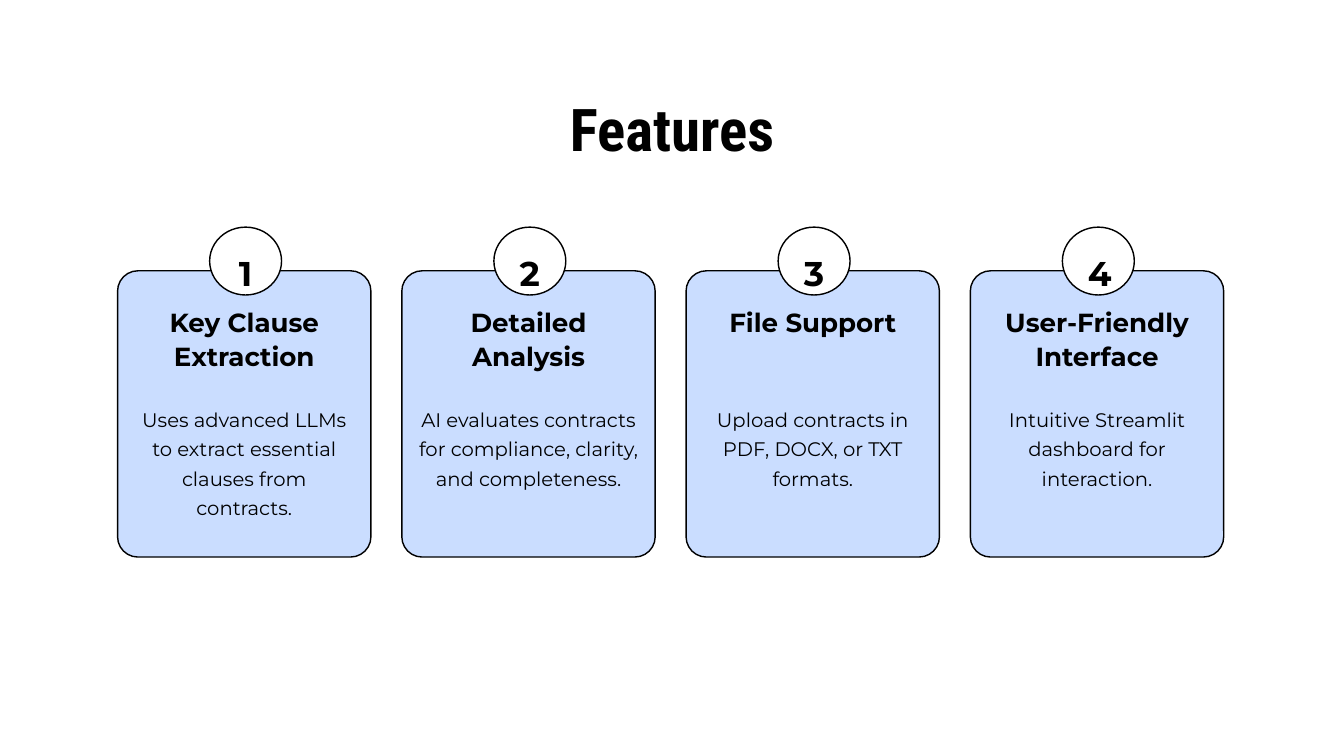
from pptx import Presentation
from pptx.dml.color import RGBColor
from pptx.enum.shapes import MSO_SHAPE
from pptx.enum.text import MSO_ANCHOR, MSO_AUTO_SIZE, PP_ALIGN
from pptx.util import Emu, Pt

ROUNDED, OVAL = MSO_SHAPE.ROUNDED_RECTANGLE, MSO_SHAPE.OVAL
TOP, CENTER, NO_FIT = MSO_ANCHOR.TOP, PP_ALIGN.CENTER, MSO_AUTO_SIZE.NONE
PX = 9144  # EMU per px, 100 px to the inch
BLACK, WHITE, BLUE = "000000", "FFFFFF", "CADDFF"
HEAD_FONT, BODY_FONT = "Roboto Condensed", "Montserrat"

CARD_W, CARD_H, CARD_PITCH = 377, 426, 423
FEATURES = [
    ("Key Clause Extraction",
     "Uses advanced LLMs to extract essential clauses from contracts."),
    ("Detailed Analysis",
     "AI evaluates contracts for compliance, clarity, and completeness."),
    ("File Support", "Upload contracts in PDF, DOCX, or TXT formats."),
    ("User-Friendly Interface",
     "Intuitive Streamlit dashboard for interaction."),
]


def px(*values):
    return [Emu(v * PX) for v in values]


def color(hex_string):
    return RGBColor.from_string(hex_string)


def write(tf, text, size, spacing, font=BODY_FONT, bold=False):
    tf.margin_left = tf.margin_top = tf.margin_right = tf.margin_bottom = 0
    tf.word_wrap = True
    tf.auto_size = NO_FIT
    tf.vertical_anchor = TOP
    p = tf.paragraphs[0]
    p.alignment = CENTER
    p.line_spacing = Pt(spacing)
    r = p.add_run()
    r.text = text
    r.font.size = Pt(size)
    r.font.name = font
    r.font.bold = bold
    r.font.color.rgb = color(BLACK)


def add_text(s, x, y, w, h, *args, **kwargs):
    write(s.shapes.add_textbox(*px(x, y, w, h)).text_frame, *args, **kwargs)


def add_outlined(s, kind, x, y, w, h, fill):
    sp = s.shapes.add_shape(kind, *px(x, y, w, h))
    sp.shadow.inherit = False
    sp.fill.solid()
    sp.fill.fore_color.rgb = color(fill)
    sp.line.color.rgb = color(BLACK)
    sp.line.width = Pt(1.5)
    return sp


def add_title(s, x, y, w, h):
    title = s.shapes.title
    title.left, title.top, title.width, title.height = px(x, y, w, h)
    write(title.text_frame, "Features", 63.1, 63.8, HEAD_FONT, bold=True)


def add_card(s, x, y, w, h, number, heading, body):
    # Panel
    panel = add_outlined(s, ROUNDED, x, y, w, h, BLUE)
    panel.adjustments[0] = 0.08

    # Heading and description
    add_text(s, x + 22, y + 49, w - 44, 98, heading, 28, 36.4, bold=True)
    add_text(s, x + 22, y + 195, w - 44, 173, body, 21, 31.5)

    # Number badge across the top edge
    add_outlined(s, OVAL, x + 137, y - 65, 107, 101, WHITE)
    add_text(s, x + 175, y - 68, 31, 84, str(number), 36.8, 73.5, bold=True)


def main():
    prs = Presentation()
    prs.slide_width, prs.slide_height = px(2000, 1125)
    s = prs.slides.add_slide(prs.slide_layouts[5])  # title only
    s.background.fill.solid()
    s.background.fill.fore_color.rgb = color(WHITE)

    add_title(s, 509, 155, 982, 95)
    for i, (heading, body) in enumerate(FEATURES):
        add_card(s, 175 + i * CARD_PITCH, 403, CARD_W, CARD_H,
                 i + 1, heading, body)

    prs.save("out.pptx")


if __name__ == "__main__":
    main()
